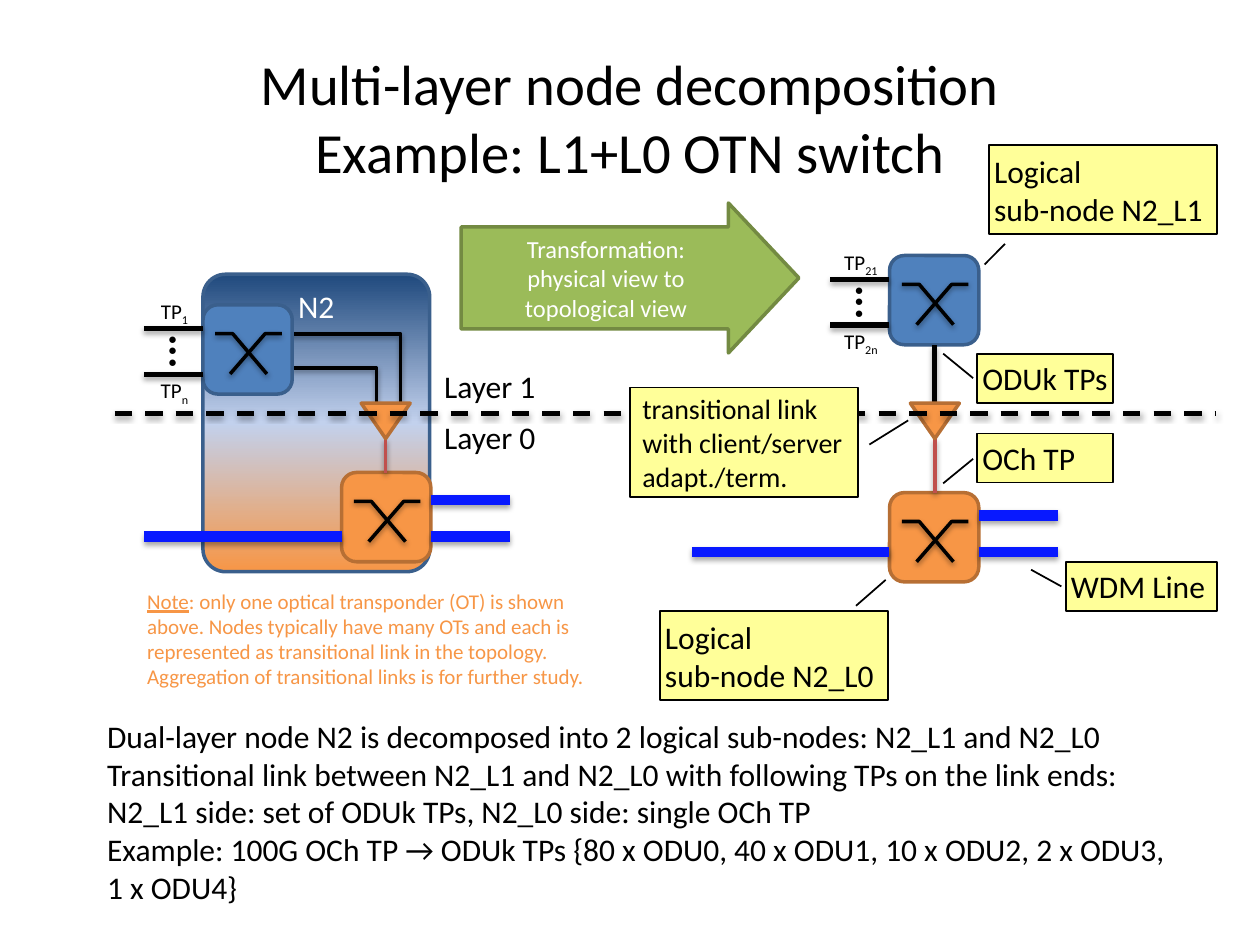
from dataclasses import dataclass

from lxml.etree import SubElement
from pptx import Presentation
from pptx.dml.color import RGBColor
from pptx.enum.dml import MSO_LINE
from pptx.enum.shapes import MSO_CONNECTOR, MSO_SHAPE
from pptx.enum.text import MSO_ANCHOR, MSO_AUTO_SIZE, PP_ALIGN
from pptx.oxml.ns import qn
from pptx.util import Pt


@dataclass(frozen=True)
class Theme:
    """Colours, type sizes and the font of the slide."""
    font: str = "Calibri"
    ink: str = "000000"
    white: str = "FFFFFF"
    blue: str = "4F81BD"
    navy: str = "3A5F8C"
    orange: str = "F79646"
    rust: str = "B76F34"
    green: str = "9BBB59"
    moss: str = "738A42"
    red: str = "C0504D"
    fibre: str = "0819FF"
    note: str = "FFFF99"
    fade: tuple = (("0", "1F497D"), ("50000", "C2D1ED"), ("100000", "F79646"))
    title: float = 32.4
    body: float = 18
    mid: float = 16
    arrow: float = 14
    small: float = 12
    dot: float = 8


T = Theme()
SIDE = 51


def rgb(code):
    """Turn a hex code into a colour."""
    return RGBColor.from_string(code)


def write(frame, paras, size, color=T.ink, align=None, inset=None, anchor=None):
    """Fill a frame with paragraphs, each a list of (text, style) runs."""
    frame.word_wrap = True
    frame.auto_size = MSO_AUTO_SIZE.NONE
    if anchor is not None:
        frame.vertical_anchor = anchor
    if inset is not None:
        frame.margin_left = frame.margin_right = Pt(inset)
        frame.margin_top = frame.margin_bottom = Pt(inset)
    for i, runs in enumerate(paras):
        para = frame.add_paragraph() if i else frame.paragraphs[0]
        para.alignment = align
        para.space_before = Pt(0)
        for text, style in runs:
            for j, part in enumerate(text.split("\n")):
                if j:
                    para.add_line_break()
                run = para.add_run()
                run.text = part
                font = run.font
                font.name, font.size = T.font, Pt(size)
                font.color.rgb = rgb(color)
                if style == "under":
                    font.underline = True
                if style == "sub":
                    run._r.get_or_add_rPr().set("baseline", "-25000")


def plain(*texts):
    """Make one plain run for each paragraph."""
    return [[(text, None)] for text in texts]


def label(slide, box, paras, size, **look):
    """Add a text box."""
    shape = slide.shapes.add_textbox(*map(Pt, box))
    write(shape.text_frame, paras, size, **look)
    return shape


def block(slide, kind, box, fill, edge, width=2, adjust=()):
    """Add a filled preset shape without shadow."""
    shape = slide.shapes.add_shape(kind, *map(Pt, box))
    shape.shadow.inherit = False
    shape.fill.solid()
    shape.fill.fore_color.rgb = rgb(fill)
    shape.line.color.rgb = rgb(edge)
    shape.line.width = Pt(width)
    for i, value in enumerate(adjust):
        shape.adjustments[i] = value
    return shape


def stroke(item, color, width):
    """Set the line of an item and give it a soft shadow."""
    item.line.color.rgb = rgb(color)
    item.line.width = Pt(width)
    dist, alpha = (1.8, "35000") if width >= 3 else (1.6, "38000")
    effect = SubElement(item._element.spPr, qn("a:effectLst"))
    cast = SubElement(effect, qn("a:outerShdw"), blurRad=str(Pt(3.1)),
                      dist=str(Pt(dist)), dir="5400000", rotWithShape="0")
    tint = SubElement(cast, qn("a:srgbClr"), val=T.ink)
    SubElement(tint, qn("a:alpha"), val=alpha)


def line(slide, ends, color=T.ink, width=2.0, kind=MSO_CONNECTOR.STRAIGHT):
    """Add a connector between two points."""
    item = slide.shapes.add_connector(kind, *map(Pt, ends))
    stroke(item, color, width)
    return item


def elbow(slide, ends):
    """Add a connector that runs across and then down."""
    item = line(slide, ends, kind=MSO_CONNECTOR.ELBOW)
    geom = item._element.spPr.find(qn("a:prstGeom"))
    guides = geom.find(qn("a:avLst"))
    if guides is None:
        guides = SubElement(geom, qn("a:avLst"))
    SubElement(guides, qn("a:gd"), name="adj1", fmla="val 100000")


def node(slide, x, y, fill, edge):
    """Add a switch node with its crossed paths."""
    block(slide, MSO_SHAPE.ROUNDED_RECTANGLE, (x, y, SIDE, SIDE), fill, edge)
    for xs in ((7, 17, 36.5), (45, 35.5, 15.5)):
        pts = [(Pt(x + dx), Pt(y + dy)) for dx, dy in zip(xs, (16.5, 16.5, 39.5))]
        pen = slide.shapes.build_freeform(*pts[0])
        pen.add_line_segments(pts[1:], close=False)
        path = pen.convert_to_shape()
        path.fill.background()
        stroke(path, T.ink, 2)


def ports(slide, x, y, first, last):
    """Add two client ports, their names and the dots between them."""
    for name, dy, gap in ((first, 0, -20.1), (last, 25.9, 25.2)):
        line(slide, (x - 33.8, y + dy, x, y + dy), width=3)
        label(slide, (x - 30.3, y + gap, 28, 20), [[("TP", None), (name, "sub")]],
              T.small, align=PP_ALIGN.CENTER, inset=2.88)
    dots = label(slide, (x - 31, y + 8, 26, 10), plain("● ● ●"), T.dot,
                 align=PP_ALIGN.CENTER, inset=0)
    dots.rotation = 270


def fibres(slide, x, y):
    """Add one line into a node and two lines out of it."""
    low, out = y + 20.8, x + SIDE
    for ends in ((x - 113, low, x, low), (out, y, out + 45.4, y),
                 (out, low, out + 45.4, low)):
        line(slide, ends, T.fibre, 6)


def adapter(slide, x):
    """Add a triangle that points down."""
    shape = block(slide, MSO_SHAPE.ISOSCELES_TRIANGLE, (x, 230.4, 28, 20.2),
                  T.orange, T.rust)
    shape.rotation = 180


def callout(slide, box, adjust, paras, size=T.body, inset=2.88):
    """Add a yellow callout with a leader line."""
    shape = block(slide, MSO_SHAPE.LINE_CALLOUT_1, box, T.note, T.ink, 1, adjust)
    write(shape.text_frame, paras, size, align=PP_ALIGN.LEFT, inset=inset,
          anchor=MSO_ANCHOR.MIDDLE)


def shell(slide):
    """Add the physical node that spans both layers."""
    shape = block(slide, MSO_SHAPE.ROUNDED_RECTANGLE, (116, 156.7, 129.6, 170),
                  T.blue, T.navy, adjust=(0.1,))
    solid = shape._element.spPr.find(qn("a:solidFill"))
    grad = solid.makeelement(qn("a:gradFill"), {"rotWithShape": "1"})
    stops = SubElement(grad, qn("a:gsLst"))
    for pos, code in T.fade:
        SubElement(SubElement(stops, qn("a:gs"), pos=pos), qn("a:srgbClr"), val=code)
    SubElement(grad, qn("a:lin"), ang="5400000", scaled="0")
    solid.getparent().replace(solid, grad)
    write(shape.text_frame, plain("N2"), T.body, T.white, PP_ALIGN.CENTER,
          anchor=MSO_ANCHOR.TOP)


def place(holder, box, paras, size, **look):
    """Move a placeholder and fill it with text free of bullets."""
    holder.left, holder.top, holder.width, holder.height = map(Pt, box)
    write(holder.text_frame, paras, size, **look)
    for para in holder.text_frame.paragraphs:
        props = para._p.get_or_add_pPr()
        props.set("marL", "0")
        props.set("indent", "0")
        SubElement(props, qn("a:buNone"))


def main():
    """Build the slide and save it."""
    deck = Presentation()
    deck.slide_width, deck.slide_height = Pt(720), Pt(540)
    slide = deck.slides.add_slide(deck.slide_layouts[1])
    place(slide.shapes.title, (36, 21.6, 648, 90),
          plain("Multi-layer node decomposition\nExample: L1+L0 OTN switch"),
          T.title, align=PP_ALIGN.CENTER, anchor=MSO_ANCHOR.MIDDLE)
    place(slide.placeholders[1], (54, 406, 623.5, 113), plain(
        "Dual-layer node N2 is decomposed into 2 logical sub-nodes: N2_L1 and N2_L0",
        "Transitional link between N2_L1 and N2_L0 with following TPs on the link ends:\n"
        "N2_L1 side: set of ODUk TPs, N2_L0 side: single OCh TP",
        "Example: 100G OCh TP → ODUk TPs {80 x ODU0, 40 x ODU1, 10 x ODU2, "
        "2 x ODU3, 1 x ODU4}"), T.body, anchor=MSO_ANCHOR.TOP)

    shell(slide)
    elbow(slide, (167, 210.3, 215.2, 230.4))
    elbow(slide, (161.3, 190.8, 229, 230.4))
    for x, top, low, base in ((116, 174.2, 195.2, 270), (508.3, 146, 508.3, 281.5)):
        node(slide, x, top, T.blue, T.navy)
        node(slide, low, base, T.orange, T.rust)
    ports(slide, 116, 187.9, "1", "n")
    ports(slide, 508.3, 159.8, "21", "2n")
    fibres(slide, 195.2, 285.8)
    fibres(slide, 508.3, 294.5)
    line(slide, (534.2, 197.3, 534.2, 230.4), width=3)
    for x, end in ((220.4, 270), (534.2, 281.5)):
        line(slide, (x, 250.6, x, end), T.red)
        adapter(slide, x - 14)
    border = line(slide, (65.5, 236.2, 694.8, 236.2), width=2.5)
    border.line.dash_style = MSO_LINE.DASH

    for box, adjust, text in (
            ((565.2, 82.8, 130.3, 51), (1.11, 0.07, 1.34, -0.02), "Logical\nsub-node N2_L1"),
            ((558.4, 202.1, 77.8, 28), (0.5, -0.03, 0, -0.25), "ODUk TPs"),
            ((558.4, 247.7, 77.8, 28), (0.52, -0.03, 1.02, -0.25), "OCh TP"),
            ((609.1, 321.1, 86.4, 28), (0.5, -0.03, 0.16, -0.23), "WDM Line"),
            ((377.1, 349.2, 130.3, 51), (-0.06, 0.86, -0.35, 0.99), "Logical\nsub-node N2_L0")):
        callout(slide, box, adjust, plain(text))
    callout(slide, (360, 221.5, 130.3, 62.6), (0.52, 1.05, 0.3, 1.22),
            plain("transitional link with client/server", "adapt./term."), T.mid, None)

    for y, text in ((206, "Layer 1"), (235.4, "Layer 0")):
        label(slide, (246.7, y, 102, 29), plain(text), T.body)
    arrow = block(slide, MSO_SHAPE.RIGHT_ARROW, (263.5, 116, 193, 85.7), T.green,
                  T.moss, adjust=(0.68, 0.47))
    write(arrow.text_frame, plain("Transformation:\nphysical view to topological view"),
          T.arrow, T.white, PP_ALIGN.CENTER, anchor=MSO_ANCHOR.MIDDLE)
    label(slide, (77, 332.6, 283, 65.5), [
        [("Note", "under"), (": only one optical transponder (OT) is shown above. Nodes "
                             "typically have many OTs and each is represented as "
                             "transitional link in the topology.", None)],
        *plain("Aggregation of transitional links is for further study.")],
        T.small, color=T.orange)
    deck.save("out.pptx")


if __name__ == "__main__":
    main()
